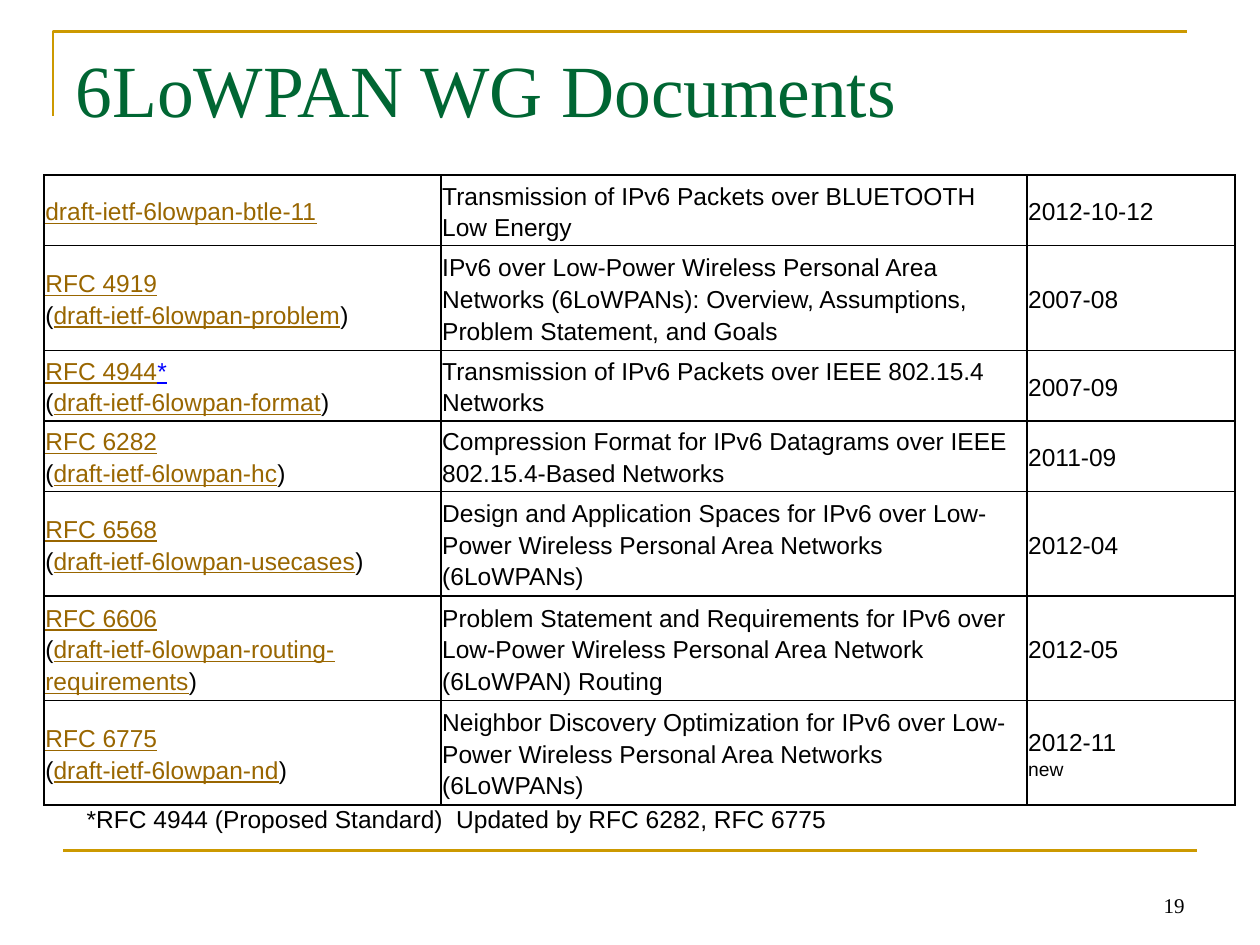
from lxml import etree
from pptx import Presentation
from pptx.dml.color import RGBColor
from pptx.enum.shapes import MSO_CONNECTOR
from pptx.enum.text import MSO_ANCHOR, PP_ALIGN
from pptx.oxml.ns import qn
from pptx.util import Inches, Pt

LINE = MSO_CONNECTOR.STRAIGHT
TOP, MIDDLE, BOTTOM = MSO_ANCHOR.TOP, MSO_ANCHOR.MIDDLE, MSO_ANCHOR.BOTTOM
LEFT, RIGHT = PP_ALIGN.LEFT, PP_ALIGN.RIGHT
COLORS = {"gold": "CC9900", "green": "006633", "link": "996600",
          "star": "0000FF", "text": "000000", "white": "FFFFFF"}

# RFC, mark, draft, title, date, note
DOCS = [
    ("", "", "btle-11",
     "Transmission of IPv6 Packets over BLUETOOTH Low Energy", "2012-10-12", ""),
    ("RFC 4919", "", "problem",
     "IPv6 over Low-Power Wireless Personal Area Networks (6LoWPANs): "
     "Overview, Assumptions, Problem Statement, and Goals", "2007-08", ""),
    ("RFC 4944", "*", "format",
     "Transmission of IPv6 Packets over IEEE 802.15.4 Networks", "2007-09", ""),
    ("RFC 6282", "", "hc",
     "Compression Format for IPv6 Datagrams over IEEE 802.15.4-Based Networks",
     "2011-09", ""),
    ("RFC 6568", "", "usecases",
     "Design and Application Spaces for IPv6 over Low-Power Wireless "
     "Personal Area Networks (6LoWPANs)", "2012-04", ""),
    ("RFC 6606", "", "routing-requirements",
     "Problem Statement and Requirements for IPv6 over Low-Power Wireless "
     "Personal Area Network (6LoWPAN) Routing", "2012-05", ""),
    ("RFC 6775", "", "nd",
     "Neighbor Discovery Optimization for IPv6 over Low-Power Wireless "
     "Personal Area Networks (6LoWPANs)", "2012-11", "new"),
]
WIDTHS = [3.15, 4.65, 1.65]
HEIGHTS = [0.56, 0.83, 0.56, 0.56, 0.83, 0.83, 0.83]


def color(name):
    return RGBColor.from_string(COLORS[name])


def style(run, size=14, face="Arial", hue="text"):
    run.font.size, run.font.name = Pt(size), face
    run.font.color.rgb = color(hue)
    run.font.underline = hue in ("link", "star")


prs = Presentation()
prs.slide_width, prs.slide_height = Inches(10), Inches(7.5)
slide = prs.slides.add_slide(prs.slide_layouts[5])
shapes = slide.shapes

# Gold corner and bottom rule
path = shapes.build_freeform(Inches(0.42), Inches(0.92))
path.add_line_segments([(Inches(0.42), Inches(0.25)),
                        (Inches(9.42), Inches(0.25))], close=False)
corner = path.convert_to_shape()
corner.shadow.inherit = False
corner.fill.background()
rule = shapes.add_connector(LINE, Inches(0.5), Inches(6.75),
                            Inches(9.5), Inches(6.75))
etree.SubElement(rule._element.spPr, qn("a:effectLst"))
for item in (corner, rule):
    item.line.color.rgb = color("gold")
    item.line.width = Pt(1.5)

# Title, page number and footnote
title = shapes.title
page = shapes.add_textbox(0, 0, 0, 0)
note = shapes.add_textbox(0, 0, 0, 0)
for box, spot, text, size, face, hue, anchor, align in [
    (title, (0.5, 0.3, 9, 1.25), "6LoWPAN WG Documents",
     42, "Times New Roman", "green", TOP, LEFT),
    (page, (7.17, 6.83, 2.33, 0.5), "19",
     12, "Times New Roman", "text", BOTTOM, RIGHT),
    (note, (0.59, 6.33, 8.7, 0.34),
     "*RFC 4944 (Proposed Standard)  Updated by RFC 6282, RFC 6775",
     14, "Arial", "text", TOP, LEFT),
]:
    box.left, box.top, box.width, box.height = map(Inches, spot)
    frame = box.text_frame
    frame.text, frame.word_wrap = text, True
    frame.vertical_anchor = anchor
    frame.paragraphs[0].alignment = align
    style(frame.paragraphs[0].runs[0], size, face, hue)

# Document table
table = shapes.add_table(len(DOCS), len(WIDTHS), Inches(0.35), Inches(1.39),
                         Inches(sum(WIDTHS)), Inches(sum(HEIGHTS))).table
table.first_row = table.horz_banding = False
for col, width in zip(table.columns, WIDTHS):
    col.width = Inches(width)
for row, height, doc in zip(table.rows, HEIGHTS, DOCS):
    row.height = Inches(height)
    rfc, mark, draft, name, date, extra = doc
    link = (f"draft-ietf-6lowpan-{draft}", "link", 14)
    if rfc:
        first = [(rfc, "link", 14), (mark, "star", 14), ("\n", "", 0),
                 ("(", "text", 14), link, (")", "text", 14)]
    else:
        first = [link]
    last = [(date, "text", 14)]
    if extra:
        last += [("\n", "", 0), (extra, "text", 11)]
    for cell, parts in zip(row.cells, [first, [(name, "text", 14)], last]):
        cell.fill.solid()
        cell.fill.fore_color.rgb = color("white")
        cell.vertical_anchor = MIDDLE
        cell.margin_left = cell.margin_right = Inches(0.01)
        cell.margin_top = cell.margin_bottom = Inches(0.01)
        para = cell.text_frame.paragraphs[0]
        para.line_spacing = 1.15
        for text, hue, size in parts:
            if text == "\n":
                para.add_line_break()
            elif text:
                run = para.add_run()
                run.text = text
                style(run, size, hue=hue)
        props = cell._tc.get_or_add_tcPr()
        for spot, side in enumerate(("lnL", "lnR", "lnT", "lnB")):
            edge = etree.Element(qn(f"a:{side}"), w=str(Pt(1)))
            fill = etree.SubElement(edge, qn("a:solidFill"))
            etree.SubElement(fill, qn("a:srgbClr"), val=COLORS["text"])
            props.insert(spot, edge)

prs.save("out.pptx")
